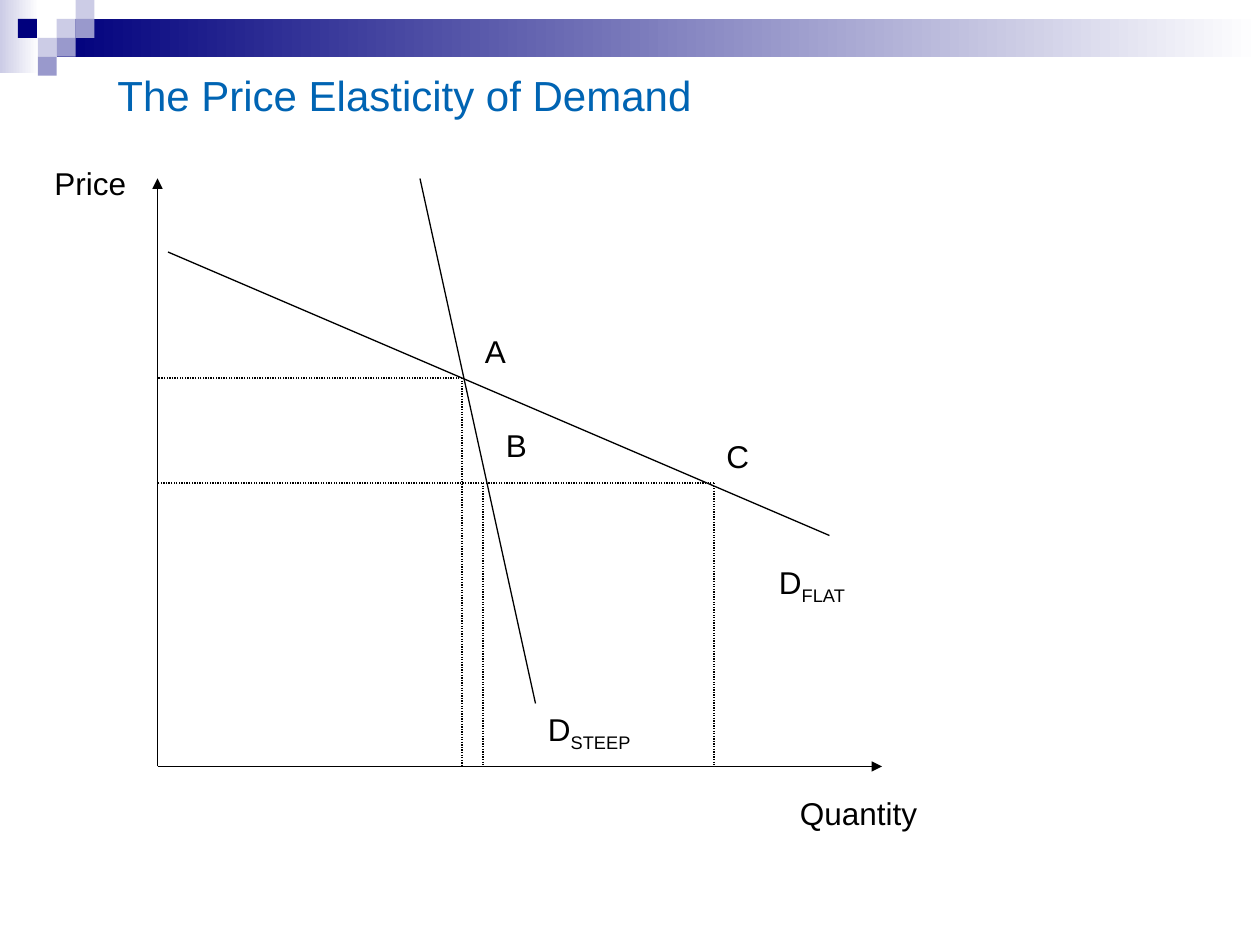
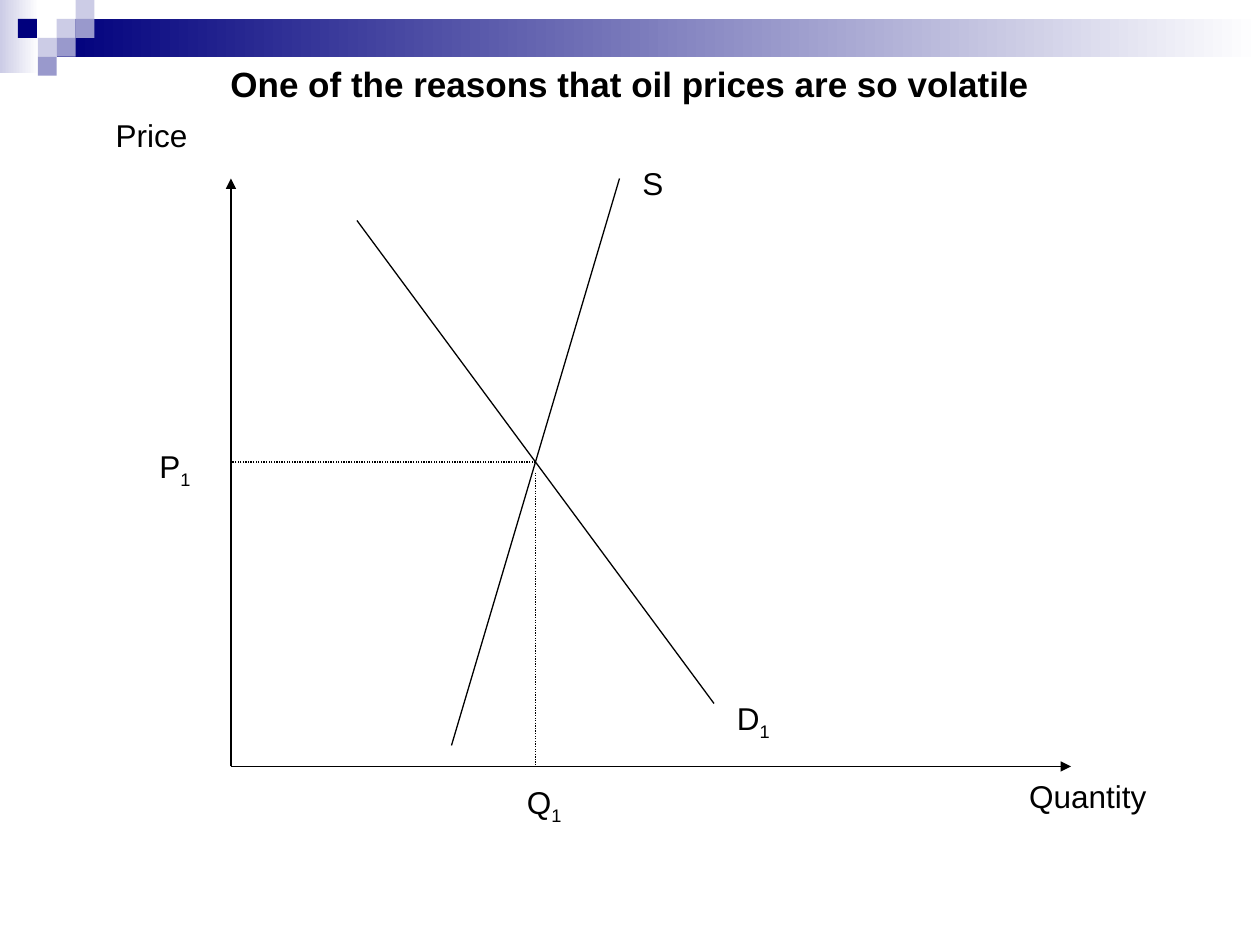
from dataclasses import dataclass

from lxml import etree
from pptx import Presentation
from pptx.dml.color import RGBColor
from pptx.enum.dml import MSO_LINE
from pptx.enum.shapes import MSO_CONNECTOR, MSO_SHAPE
from pptx.enum.text import MSO_ANCHOR, MSO_AUTO_SIZE, PP_ALIGN
from pptx.oxml.ns import qn
from pptx.util import Pt

RECTANGLE = MSO_SHAPE.RECTANGLE
STRAIGHT = MSO_CONNECTOR.STRAIGHT
DOTTED = MSO_LINE.ROUND_DOT
MIDDLE = MSO_ANCHOR.MIDDLE
LEFT, CENTER = PP_ALIGN.LEFT, PP_ALIGN.CENTER


@dataclass(frozen=True)
class Theme:
    font: str = "Arial"
    black: RGBColor = RGBColor(0x00, 0x00, 0x00)
    white: RGBColor = RGBColor(0xFF, 0xFF, 0xFF)
    blue: RGBColor = RGBColor(0x00, 0x64, 0xB3)
    navy: RGBColor = RGBColor(0x00, 0x00, 0x7D)
    lilac: RGBColor = RGBColor(0x99, 0x99, 0xCC)
    pale: RGBColor = RGBColor(0xCC, 0xCC, 0xE6)
    title_size: int = 24
    heading_size: int = 20
    label_size: int = 18
    line_width: float = 0.75


THEME = Theme()
SLIDE_WIDTH, SLIDE_HEIGHT = 720, 540
SQUARE = 10.8
LABEL_HEIGHT = 29

# Column, row and colour of each square in the corner mosaic
MOSAIC = [
    (3, 1, THEME.pale), (4, 0, THEME.pale), (4, 1, THEME.lilac),
    (2, 2, THEME.pale), (0.95, 1, THEME.navy), (3, 2, THEME.lilac),
    (2, 3, THEME.lilac),
]


def add_rectangle(slide, left, top, width, height, color, fade=False):
    shape = slide.shapes.add_shape(RECTANGLE, Pt(left), Pt(top), Pt(width), Pt(height))
    shape.shadow.inherit = False
    shape.line.fill.background()
    if fade:
        shape.fill.gradient()
        shape.fill.gradient_angle = 0
        for stop, stop_color in zip(shape.fill.gradient_stops, (color, THEME.white)):
            stop.color.rgb = stop_color
    else:
        shape.fill.solid()
        shape.fill.fore_color.rgb = color


def add_line(slide, origin, start, end, dotted=False, arrow=False):
    """Draw a line between two points given relative to the origin."""
    left, top = origin
    connector = slide.shapes.add_connector(
        STRAIGHT, Pt(left + start[0]), Pt(top + start[1]),
        Pt(left + end[0]), Pt(top + end[1]))
    connector.line.color.rgb = THEME.black
    connector.line.width = Pt(THEME.line_width)
    if dotted:
        connector.line.dash_style = DOTTED
    properties = connector.element.spPr
    if arrow:
        etree.SubElement(properties.find(qn("a:ln")), qn("a:tailEnd"), type="triangle")
    etree.SubElement(properties, qn("a:effectLst"))


def add_label(slide, origin, position, width, text, subscript="", wrap=False):
    """Write a label, with an optional subscript, relative to the origin."""
    box = slide.shapes.add_textbox(
        Pt(origin[0] + position[0]), Pt(origin[1] + position[1]),
        Pt(width), Pt(LABEL_HEIGHT))
    frame = box.text_frame
    frame.word_wrap = wrap
    frame.auto_size = MSO_AUTO_SIZE.SHAPE_TO_FIT_TEXT
    paragraph = frame.paragraphs[0]
    paragraph.add_run().text = text
    if subscript:
        run = paragraph.add_run()
        run.text = subscript
        run.font._element.set("baseline", "-25000")
    style(paragraph, THEME.label_size, THEME.black)


def style(paragraph, size, color, bold=False):
    font = paragraph.font
    font.name, font.size, font.bold = THEME.font, Pt(size), bold
    font.color.rgb = color


def add_title(slide, box, text, size, color, bold=False, alignment=LEFT):
    shape = slide.shapes.add_textbox(*(Pt(length) for length in box))
    frame = shape.text_frame
    frame.word_wrap = True
    frame.vertical_anchor = MIDDLE
    paragraph = frame.paragraphs[0]
    paragraph.text = text
    paragraph.alignment = alignment
    style(paragraph, size, color, bold)


def add_header_band(slide):
    """Fading bands and the corner mosaic at the top of every slide."""
    add_rectangle(slide, 0, 0, 22.3, 41.8, THEME.pale, fade=True)
    band_left = 3 * SQUARE
    add_rectangle(slide, band_left, SQUARE, SLIDE_WIDTH - band_left, 2 * SQUARE,
                  THEME.navy, fade=True)
    for column, row, color in MOSAIC:
        add_rectangle(slide, column * SQUARE, row * SQUARE, SQUARE, SQUARE, color)


def add_diagram(slide, box, curves, guides, labels):
    """Price and quantity axes filling the box, with curves, guides and labels."""
    left, top, width, height = box
    origin = (left, top)
    # Axes
    for end in ((0, 0), (width, height)):
        add_line(slide, origin, (0, height), end, arrow=True)
    # Supply and demand curves
    for start, end in curves:
        add_line(slide, origin, start, end)
    # Dotted guides
    for start, end in guides:
        add_line(slide, origin, start, end, dotted=True)
    for label in labels:
        add_label(slide, origin, *label)


def build_elasticity_slide(slide):
    add_header_band(slide)
    add_title(slide, (60, 18, 618.5, 72), "The Price Elasticity of Demand",
              THEME.title_size, THEME.blue)
    box = (90, 102, 414, 336)
    bottom = box[3]
    high_price, low_price = 114, 174
    quantity_a, quantity_b, quantity_c = 174, 186, 318
    add_diagram(
        slide, box,
        curves=[((6, 42), (384, 204)), ((150, 0), (216, 300))],
        guides=[
            ((quantity_a, high_price), (0, high_price)),
            ((quantity_a, high_price), (quantity_a, bottom)),
            ((quantity_c, low_price), (0, low_price)),
            ((quantity_c, low_price), (quantity_c, bottom)),
            ((quantity_b, low_price), (quantity_b, bottom)),
        ],
        labels=[
            ((-66, -12), 55.5, "Price"),
            ((360, 348), 81.5, "Quantity"),
            ((216, 300), 67.5, "D", "STEEP"),
            ((348, 216), 90, "D", "FLAT", True),
            ((180, 84), 26.5, "A"),
            ((192, 138), 26.5, "B"),
            ((318, 144), 27.5, "C"),
        ])


def build_oil_price_slide(slide):
    add_header_band(slide)
    add_title(slide, (36, 30, 648, 36),
              "One of the reasons that oil prices are so volatile",
              THEME.heading_size, THEME.black, bold=True, alignment=CENTER)
    box = (132, 102, 480, 336)
    price, quantity = 162, 174
    add_diagram(
        slide, box,
        curves=[((126, 324), (222, 0)), ((72, 24), (276, 300))],
        guides=[
            ((quantity, price), (0, price)),
            ((quantity, price + 6), (quantity, box[3])),
        ],
        labels=[
            ((-73, -39.5), 55.5, "Price"),
            ((449, 338.5), 81.5, "Quantity"),
            ((228, -12), 26.5, "S"),
            ((282, 294), 34, "D", "1"),
            ((-48, 150), 33, "P", "1"),
            ((162, 342), 35, "Q", "1"),
        ])


def main():
    presentation = Presentation()
    presentation.slide_width = Pt(SLIDE_WIDTH)
    presentation.slide_height = Pt(SLIDE_HEIGHT)
    blank_layout = presentation.slide_layouts[6]
    for build in (build_elasticity_slide, build_oil_price_slide):
        build(presentation.slides.add_slide(blank_layout))
    presentation.save("out.pptx")


if __name__ == "__main__":
    main()
